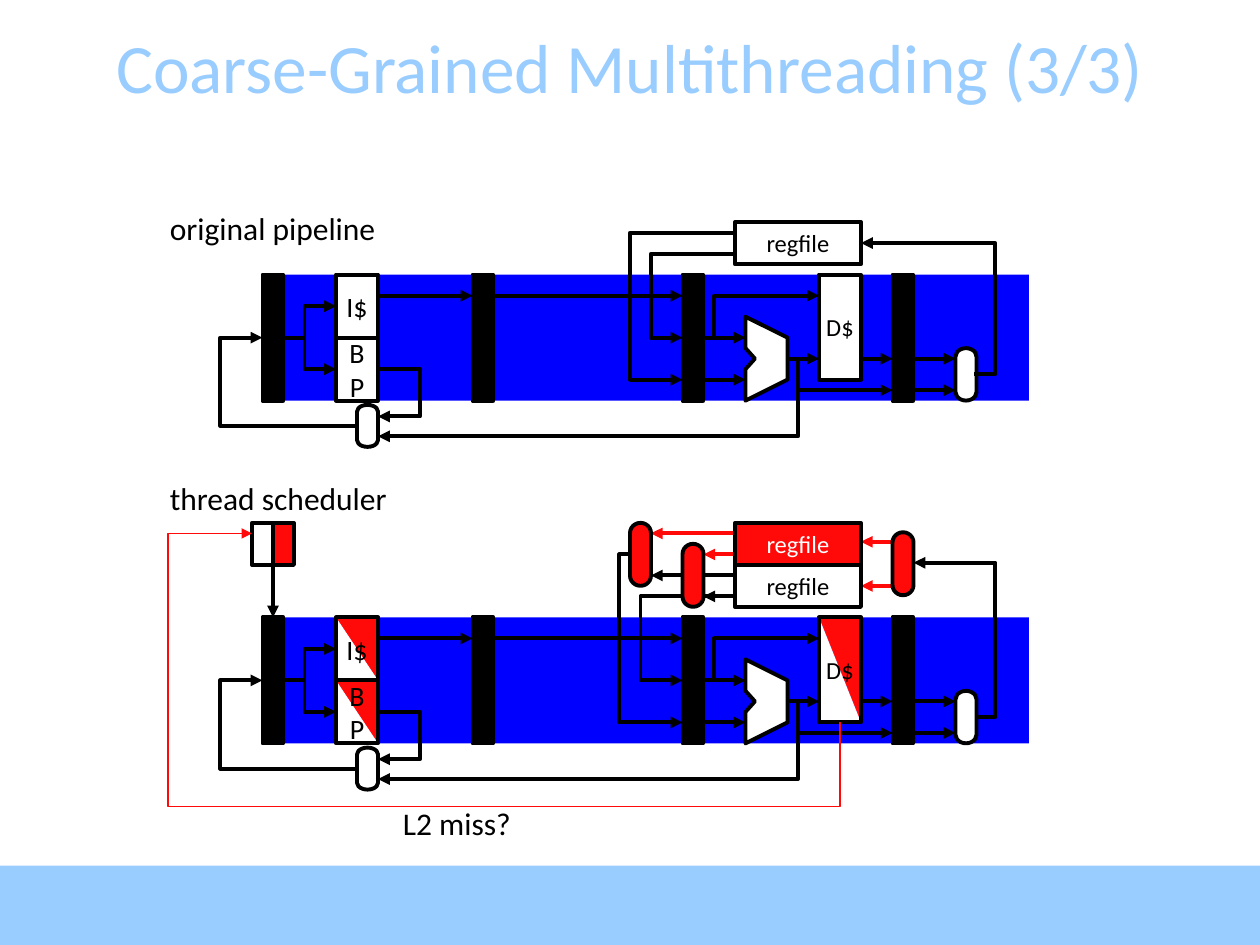
from lxml import etree
from pptx import Presentation, util as u
from pptx.dml.color import RGBColor
from pptx.enum import shapes, text
from pptx.oxml.ns import qn
from pptx.util import Cm

COLORS = {"sky": "99CCFF", "blue": "0000FF", "red": "FF0909",
          "black": "000000", "white": "FFFFFF"}
GRID = 2.54 / 12  # the diagram sits on a grid of 12 steps to the inch
ORIGINAL_TOP = 26.16
THREADED_TOP = 58.8
SHAPE = shapes.MSO_SHAPE


def rgb(name):
    return RGBColor.from_string(COLORS[name])


def grid(*steps):
    return [Cm(n * GRID) for n in steps]


def write(sp, content, size=14, color="black", align="CENTER",
          anchor="MIDDLE", wrap=False):
    tf = sp.text_frame
    tf.word_wrap = wrap
    tf.vertical_anchor = text.MSO_ANCHOR[anchor]
    for i, line in enumerate(content.split("\n")):
        p = tf.add_paragraph() if i else tf.paragraphs[0]
        p.alignment = text.PP_ALIGN[align]
        r = p.add_run()
        r.text = line
        r.font.name = "Calibri"
        r.font.size = u.Pt(size)
        r.font.color.rgb = rgb(color)


def paint(sp, fill=None, line=None, width=2.25):
    sp.shadow.inherit = False
    if fill:
        sp.fill.solid()
        sp.fill.fore_color.rgb = rgb(fill)
    else:
        sp.fill.background()
    if line:
        sp.line.color.rgb = rgb(line)
        sp.line.width = u.Pt(width)
    else:
        sp.line.fill.background()


def block(s, top, x, y, w, h, fill="white", line="black", label=None,
          kind=SHAPE.RECTANGLE, **fmt):
    sp = s.shapes.add_shape(kind, *grid(x, top + y, w, h))
    paint(sp, fill, line)
    if label:
        write(sp, label, **fmt)
    return sp


def shared_block(s, top, x, y, w, h, **kw):
    """A block cut along its diagonal between two threads."""
    tri = dict(kind=SHAPE.RIGHT_TRIANGLE, line=None)
    half = block(s, top, x, y, w, h, fill="red", **tri)
    xfrm = half._element.spPr.get_or_add_xfrm()
    xfrm.set("flipH", "1")
    xfrm.set("flipV", "1")
    block(s, top, x, y, w, h, **tri)
    block(s, top, x, y, w, h, fill=None, **kw)


def mux(s, top, cx, cy, length, fill="white"):
    """An upright capsule centred on a grid point."""
    sp = block(s, top, cx - length / 2, cy - 1, length, 2, fill=fill,
               kind=SHAPE.FLOWCHART_TERMINATOR)
    sp.rotation = 90


def outline(s, top, points, close):
    (x, y), *rest = [grid(px, top + py) for px, py in points]
    fb = s.shapes.build_freeform(x, y)
    fb.add_line_segments(rest, close=close)
    return fb.convert_to_shape()


def wire(s, top, *points, color="black", width=2.25, arrow=True):
    if len(points) == 2:
        (x1, y1), (x2, y2) = points
        sp = s.shapes.add_connector(shapes.MSO_CONNECTOR.STRAIGHT,
                                    *grid(x1, top + y1, x2, top + y2))
        sp.line.color.rgb = rgb(color)
        sp.line.width = u.Pt(width)
        etree.SubElement(sp._element.spPr, qn("a:effectLst"))
    else:
        sp = outline(s, top, points, close=False)
        paint(sp, line=color, width=width)
    if arrow:
        etree.SubElement(sp.line._get_or_add_ln(), qn("a:tailEnd"),
                         type="triangle")


def caption(s, top, x, y, w, content):
    sp = s.shapes.add_textbox(*grid(x, top + y, w, 4.8))
    write(sp, content, size=18, align="LEFT", anchor="TOP")


def pipeline(s, top, cache):
    """The stages common to both diagrams; cache draws I$, BP and D$."""
    block(s, top, 27, 0, 71, 12, fill="blue", line=None)

    straight = [(36, 45, 2), (47, 65, 2), (67, 71, 6), (67, 71, 10),
                (75, 78, 8), (82, 85, 8), (87, 91, 8), (87, 91, 11)]
    for x1, x2, y in straight:
        wire(s, top, (x1, y), (x2, y))
    wire(s, top, (27, 6), (29, 6), arrow=False)

    bent = [
        [(29, 7), (29, 3), (32, 3)],
        [(29, 7), (29, 9), (32, 9)],
        [(36, 9), (40, 9), (40, 13.5), (36, 13.5)],
        [(76, 8), (76, 15.4), (36, 15.4)],
        [(34, 14.4), (21, 14.4), (21, 6), (25, 6)],
        [(68, 6), (68, 2), (78, 2)],
        [(76, 8), (76, 11), (85, 11)],
    ]
    for points in bent:
        wire(s, top, *points)

    for x in (25, 45, 65, 85):
        block(s, top, x, 0, 2, 12, fill="black")
    cache(s, top, 32, 0, 4, 6, label="I$", size=16)
    cache(s, top, 32, 6, 4, 6, label="B\nP", size=16)
    cache(s, top, 78, 0, 4, 10, label="D$")
    alu = [(71, 4), (71, 7), (71.9, 8), (71, 9), (71, 12), (75, 10), (75, 6)]
    paint(outline(s, top, alu, close=True), "white", "black")
    mux(s, top, 92, 9.5, 5)
    mux(s, top, 35, 14.4, 4)


def original_pipeline(s):
    top = ORIGINAL_TOP
    pipeline(s, top, block)
    caption(s, top, 15, -6.8, 22.2, "original pipeline")
    wire(s, top, (70, -2), (62, -2), (62, 6), (65, 6))
    wire(s, top, (70, -4), (60, -4), (60, 10), (65, 10))
    wire(s, top, (92.8, 9.5), (94.8, 9.5), (94.8, -3), (82, -3))
    block(s, top, 70, -5, 12, 4, label="regfile")


def threaded_pipeline(s):
    top = THREADED_TOP
    pipeline(s, top, shared_block)

    caption(s, top, 15, -13.8, 23.3, "thread scheduler")
    block(s, top, 26, -9, 2, 4, fill="red")
    block(s, top, 24, -9, 2, 4)
    wire(s, top, (26, -5), (26, 0))
    wire(s, top, (80, 10), (80, 18), (16, 18), (16, -8), (24, -8),
         color="red", width=1)
    caption(s, top, 37.2, 17.2, 14.4, "L2 miss?")

    for x, y in ((62, -8), (67, -6)):
        wire(s, top, (70, y), (x, y), color="red")
        wire(s, top, (70, y + 4), (x, y + 4))
    for y in (-7.2, -3):
        wire(s, top, (85, y), (82, y), color="red")
    wire(s, top, (70, -2), (61, -2), (61, 6), (65, 6))
    wire(s, top, (60, -6), (59, -6), (59, 10), (65, 10))
    wire(s, top, (93, 9.5), (94.8, 9.5), (94.8, -5.2), (87, -5.2))

    for cx, cy in ((61, -6), (66, -4), (86, -5.1)):
        mux(s, top, cx, cy, 6, fill="red")
    block(s, top, 70, -5, 12, 4, label="regfile")
    block(s, top, 70, -9, 12, 4, fill="red", label="regfile", color="white")


def main():
    prs = Presentation()
    prs.slide_width, prs.slide_height = Cm(25.4), Cm(19.05)
    s = prs.slides.add_slide(prs.slide_layouts[6])

    footer = s.shapes.add_shape(SHAPE.RECTANGLE, 0, Cm(17.45),
                                Cm(25.4), Cm(1.6))
    paint(footer, "sky")
    title = s.shapes.add_textbox(0, Cm(0.53), Cm(25.4), Cm(1.6))
    write(title, "Coarse-Grained Multithreading (3/3)", size=39.6,
          color="sky", wrap=True)

    original_pipeline(s)
    threaded_pipeline(s)
    prs.save("out.pptx")


if __name__ == "__main__":
    main()
